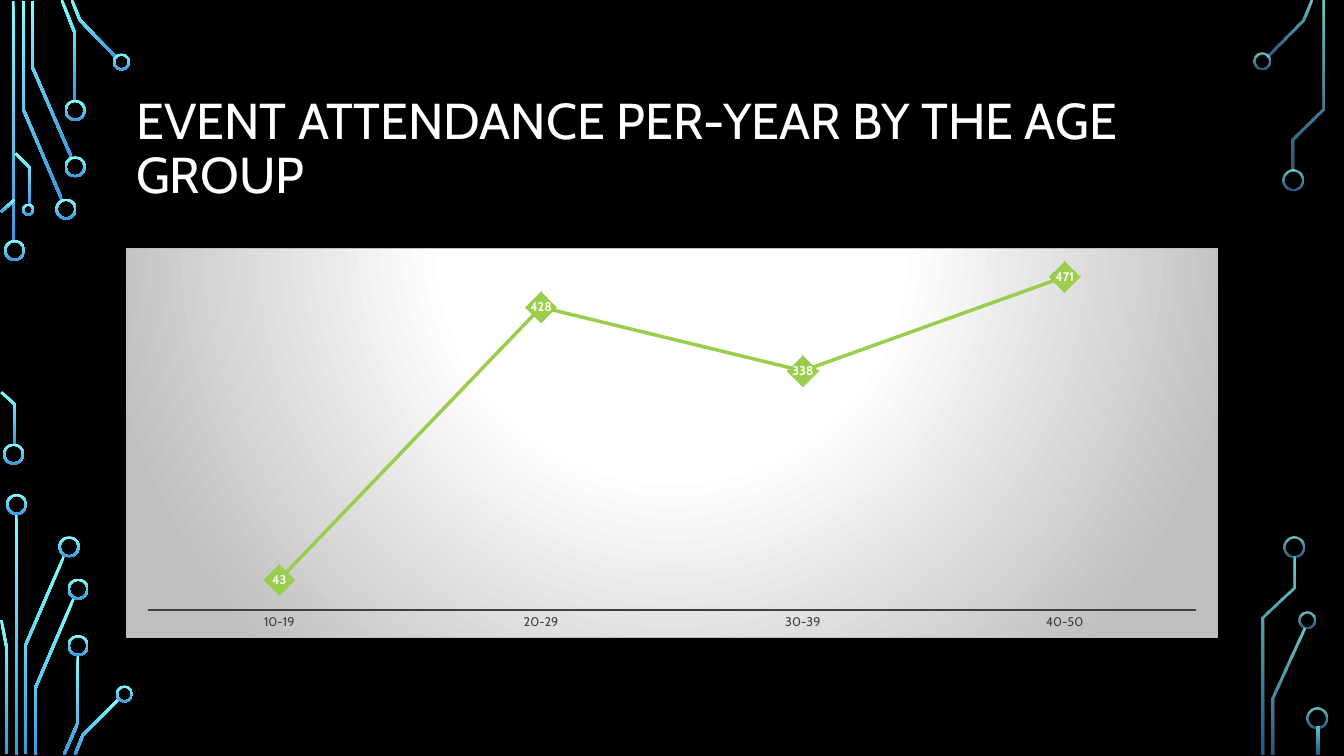
from math import hypot
from lxml import etree
from pptx import Presentation
from pptx import util as u
from pptx.chart import data
from pptx.dml import color
from pptx.enum import chart as ch, shapes, text
from pptx.oxml import ns, parse_xml

HEX = {"back": "000000", "white": "FFFFFF", "aqua": "82FFFF", "blue": "3D97DE",
       "green": "9ACD4C", "dark": "404040", "grey": "BFBFBF"}
RGB = {name: color.RGBColor.from_string(code) for name, code in HEX.items()}
FONT = "Cabin"
WIDE = 0.026  # width of a circuit trace
RIM = 0.021   # thickness of a ring

prs = Presentation()
prs.slide_width, prs.slide_height = u.Inches(13.33), u.Inches(7.5)
slide = prs.slides.add_slide(prs.slide_layouts[5])
slide.background.fill.solid()
slide.background.fill.fore_color.rgb = RGB["back"]


def glow(shape, alphas):
    """Paint a circuit part from aqua at the top to blue at the bottom."""
    shape.shadow.inherit = False
    shape.line.fill.background()
    shape.fill.gradient()
    shape.fill.gradient_angle = 270
    for stop, name, alpha in zip(shape.fill.gradient_stops, ("aqua", "blue"), alphas):
        stop.color.rgb = RGB[name]
    for tint, alpha in zip(shape.element.spPr.iter(ns.qn("a:srgbClr")), alphas):
        if alpha < 100:
            etree.SubElement(tint, ns.qn("a:alpha"), val=str(alpha * 1000))


def outline(points):
    """Give the corners of a band of constant width along a path."""
    norms = []
    for (x1, y1), (x2, y2) in zip(points, points[1:]):
        size = hypot(x2 - x1, y2 - y1)
        norms.append(((y1 - y2) / size, (x2 - x1) / size))
    near, far = [], []
    for (x, y), (ax, ay), (bx, by) in zip(points, norms[:1] + norms, norms + norms[-1:]):
        half = WIDE / 2 / (1 + ax * bx + ay * by)
        dx, dy = (ax + bx) * half, (ay + by) * half
        x += WIDE / 2  # paths are listed by their left edge
        near.append((u.Inches(x + dx), u.Inches(y + dy)))
        far.append((u.Inches(x - dx), u.Inches(y - dy)))
    return near + far[::-1]


# Circuit: opacity of the two gradient stops, trace paths, rings (left, top, size)
circuit = [
    ((100, 100), [
        [(0.12, 0.01), (0.12, 2.4)],
        [(0.22, 0.01), (0.22, 1.09), (0.6, 1.98)],
        [(0.31, 0.01), (0.31, 0.67), (0.7, 1.57)],
        [(0.6, 0), (0.73, 0.33), (0.73, 1)],
        [(0.7, 0), (0.78, 0.2), (1.14, 0.57)],
        [(0, 2.1), (0.13, 1.98)],
        [(0, 3.89), (0.13, 4.01), (0.13, 4.41)],
        [(0.14, 1.52), (0.28, 1.66), (0.28, 2.03)],
        [(0.15, 5.1), (0.15, 7.49)],
        [(0.24, 7.48), (0.24, 6.4), (0.62, 5.52)],
        [(0, 6.15), (0.05, 6.41), (0.05, 7.48)],
        [(0.34, 7.49), (0.34, 6.82), (0.72, 5.93)],
        [(0.62, 7.49), (0.76, 7.17), (0.76, 6.5)],
        [(0.73, 7.49), (0.81, 7.29), (1.17, 6.93)],
    ], [
        (0.04, 2.38, 0.21), (0.03, 4.4, 0.21), (0.55, 1.97, 0.21), (0.64, 1.55, 0.21),
        (0.64, 0.99, 0.21), (1.12, 0.53, 0.17), (0.22, 2.02, 0.12), (0.06, 4.9, 0.21),
        (0.58, 5.32, 0.21), (0.67, 5.74, 0.21), (0.67, 6.3, 0.21), (1.15, 6.8, 0.17),
    ]),
    ((80, 60), [
        [(12.56, 0.56), (12.91, 0.2), (12.99, 0)],
        [(12.61, 7.49), (12.61, 6.93), (12.92, 6.23)],
        [(12.81, 1.69), (12.81, 1.38), (13.11, 1.08), (13.11, 0.01)],
        [(12.51, 7.49), (12.51, 6.13), (12.82, 5.83), (12.82, 5.52)],
        [(13.06, 7.21), (13.06, 7.49)],
    ], [
        (12.43, 0.52, 0.17), (12.72, 1.68, 0.21), (12.88, 6.07, 0.17),
        (12.73, 5.32, 0.21), (12.96, 7.02, 0.21),
    ]),
]
for alphas, traces, rings in circuit:
    for trace in traces:
        first, *rest = outline(trace)
        pen = slide.shapes.build_freeform(*first)
        pen.add_line_segments(rest)
        glow(pen.convert_to_shape(), alphas)
    for left, top, size in rings:
        ring = slide.shapes.add_shape(shapes.MSO_SHAPE.DONUT, u.Inches(left),
                                      u.Inches(top), u.Inches(size), u.Inches(size))
        ring.adjustments[0] = RIM / size
        glow(ring, alphas)

# Title
title = slide.shapes.title
title.left, title.top = u.Inches(1.25), u.Inches(0.68)
title.width, title.height = u.Inches(10.83), u.Inches(1.62)
frame = title.text_frame
frame.text = "EVENT ATTENDANCE PER-YEAR BY THE AGE GROUP"
frame.word_wrap = True
frame.auto_size = text.MSO_AUTO_SIZE.NONE
frame.vertical_anchor = text.MSO_ANCHOR.MIDDLE
para = frame.paragraphs[0]
para.alignment = text.PP_ALIGN.LEFT
para.line_spacing = 0.9
font = para.runs[0].font
font.name, font.size, font.color.rgb = FONT, u.Pt(36), RGB["white"]

# Line chart
table = data.CategoryChartData()
table.categories = ["10-19", "20-29", "30-39", "40-50"]
table.add_series("Series 1", [43, 428, 338, 471])
chart = slide.shapes.add_chart(
    ch.XL_CHART_TYPE.LINE_MARKERS_STACKED, u.Inches(1.25), u.Inches(2.46),
    u.Inches(10.83), u.Inches(3.87), table).chart
chart.has_title = chart.has_legend = False
chart.font.name, chart.font.size = FONT, u.Pt(10)
chart.font.color.rgb = RGB["white"]

# Axes
value = chart.value_axis
value.minimum_scale, value.maximum_scale = 0, 500
value.has_major_gridlines = False
value.visible = False
ages = chart.category_axis
ages.major_tick_mark = ages.minor_tick_mark = ch.XL_TICK_MARK.NONE
ages.format.line.color.rgb = RGB["dark"]
ages.format.line.width = u.Pt(1.5)
font = ages.tick_labels.font
font.name, font.size, font.color.rgb = FONT, u.Pt(9), RGB["dark"]

# Series with diamond markers and centred values
plot = chart.plots[0]
plot.vary_by_categories = False
series = plot.series[0]
series.smooth = False
series.format.line.color.rgb = RGB["green"]
series.format.line.width = u.Pt(2.5)
marker = series.marker
marker.style, marker.size = ch.XL_MARKER_STYLE.DIAMOND, 22
marker.format.fill.solid()
marker.format.fill.fore_color.rgb = RGB["green"]
marker.format.line.color.rgb = RGB["green"]
labels = series.data_labels
labels.show_value = True
labels.position = ch.XL_LABEL_POSITION.CENTER
font = labels.font
font.name, font.size, font.bold = FONT, u.Pt(9), True
font.color.rgb = RGB["white"]

# Plot area position, as shares of the chart
area = chart.element.find(".//" + ns.qn("c:plotArea"))
for old in area.findall(ns.qn("c:layout")):
    area.remove(old)
area.insert(0, parse_xml(
    f'<c:layout {ns.nsdecls("c")}><c:manualLayout><c:layoutTarget val="inner"/>'
    '<c:xMode val="edge"/><c:yMode val="edge"/><c:x val="0.02"/><c:y val="0.02"/>'
    '<c:w val="0.96"/><c:h val="0.91"/></c:manualLayout></c:layout>'))

# Radial background and border of the chart
stops = "".join(f'<a:gs pos="{pos * 1000}"><a:srgbClr val="{HEX[name]}"/></a:gs>'
                for pos, name in ((0, "white"), (39, "white"), (100, "grey")))
chart.element.find(ns.qn("c:txPr")).addprevious(parse_xml(
    f'<c:spPr {ns.nsdecls("c", "a")}><a:gradFill><a:gsLst>{stops}</a:gsLst>'
    '<a:path path="circle"><a:fillToRect l="50000" t="-80000" r="50000" b="180000"/>'
    f'</a:path></a:gradFill><a:ln w="{u.Pt(0.75)}"><a:solidFill>'
    f'<a:srgbClr val="{HEX["grey"]}"/></a:solidFill></a:ln></c:spPr>'))

prs.save("out.pptx")
